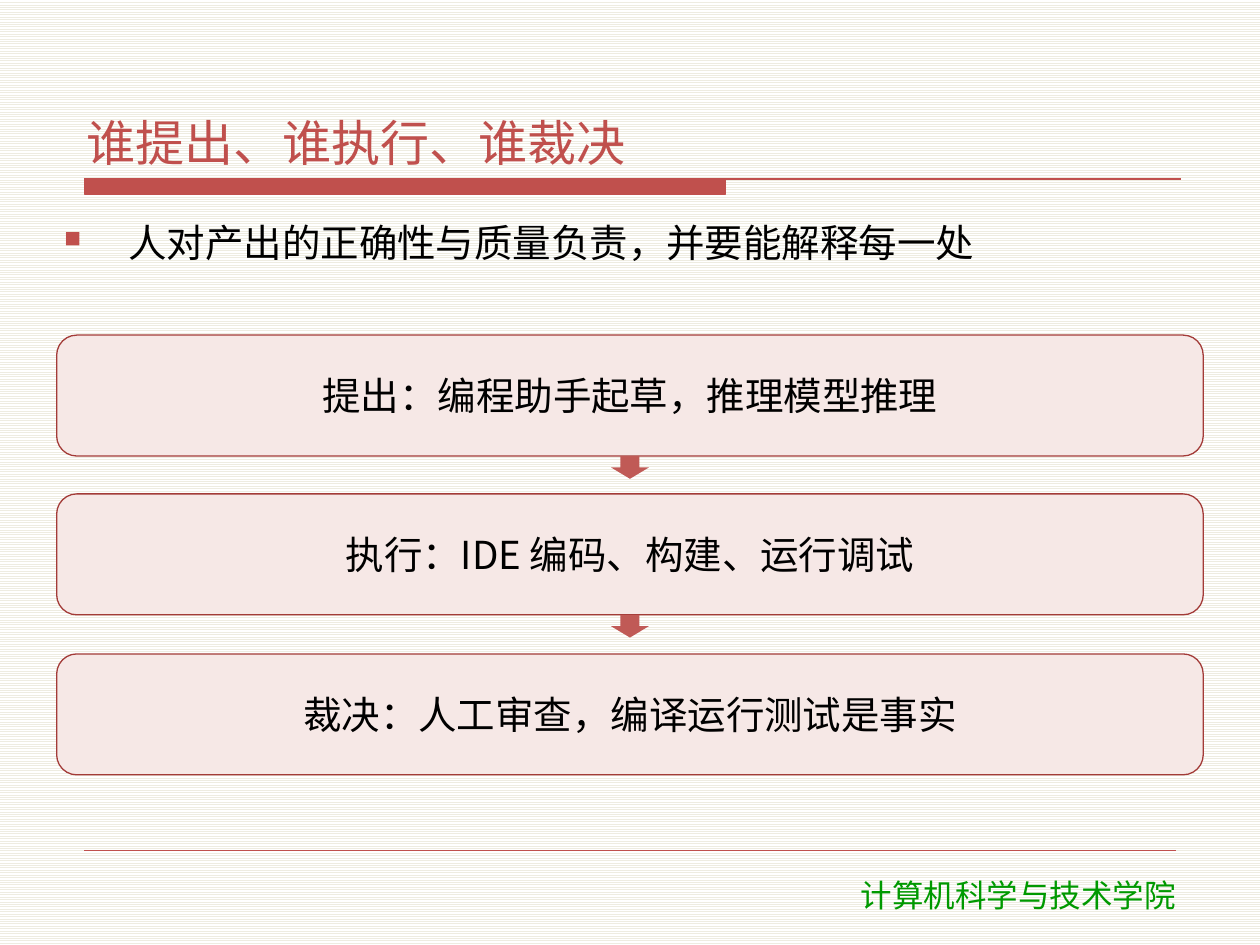
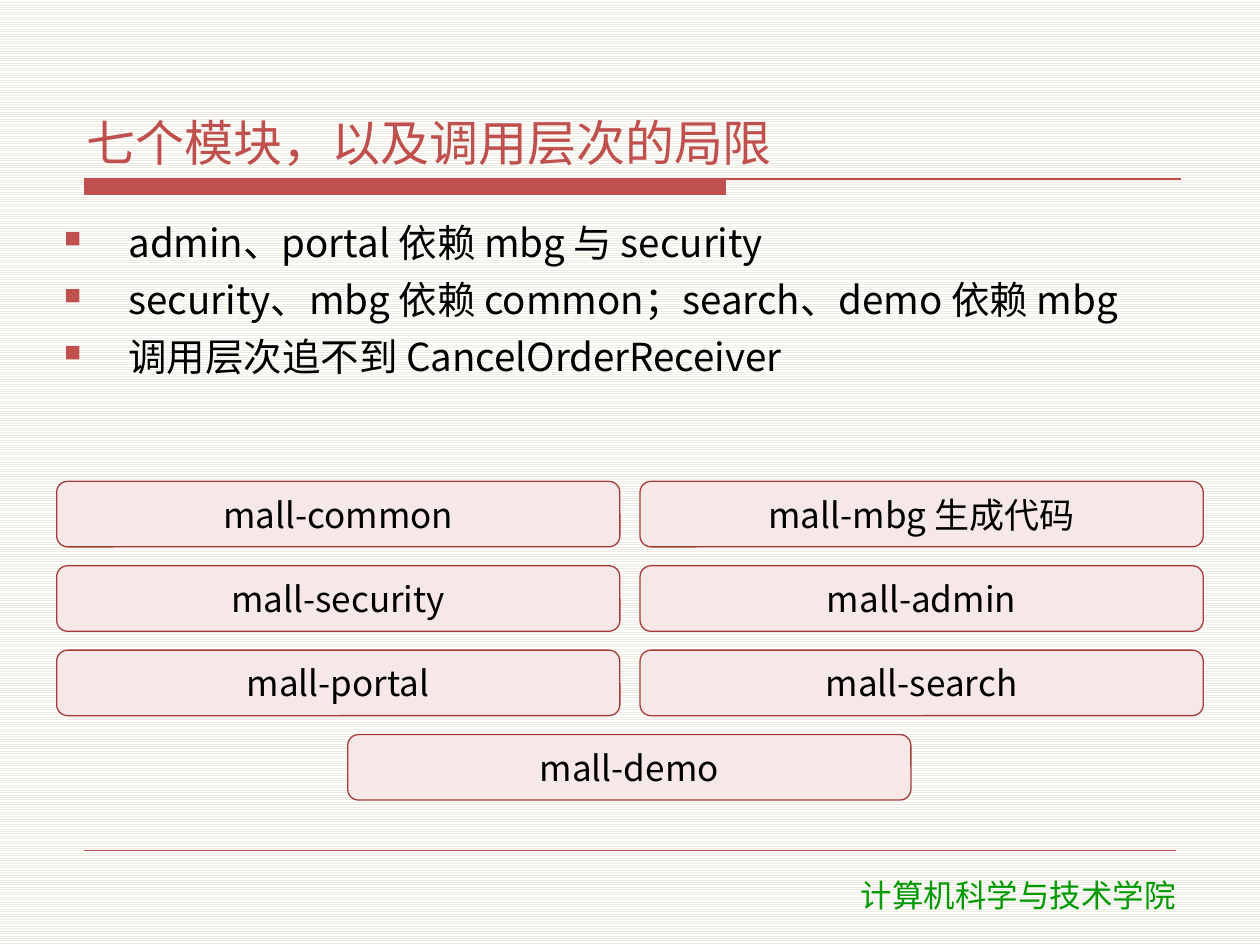
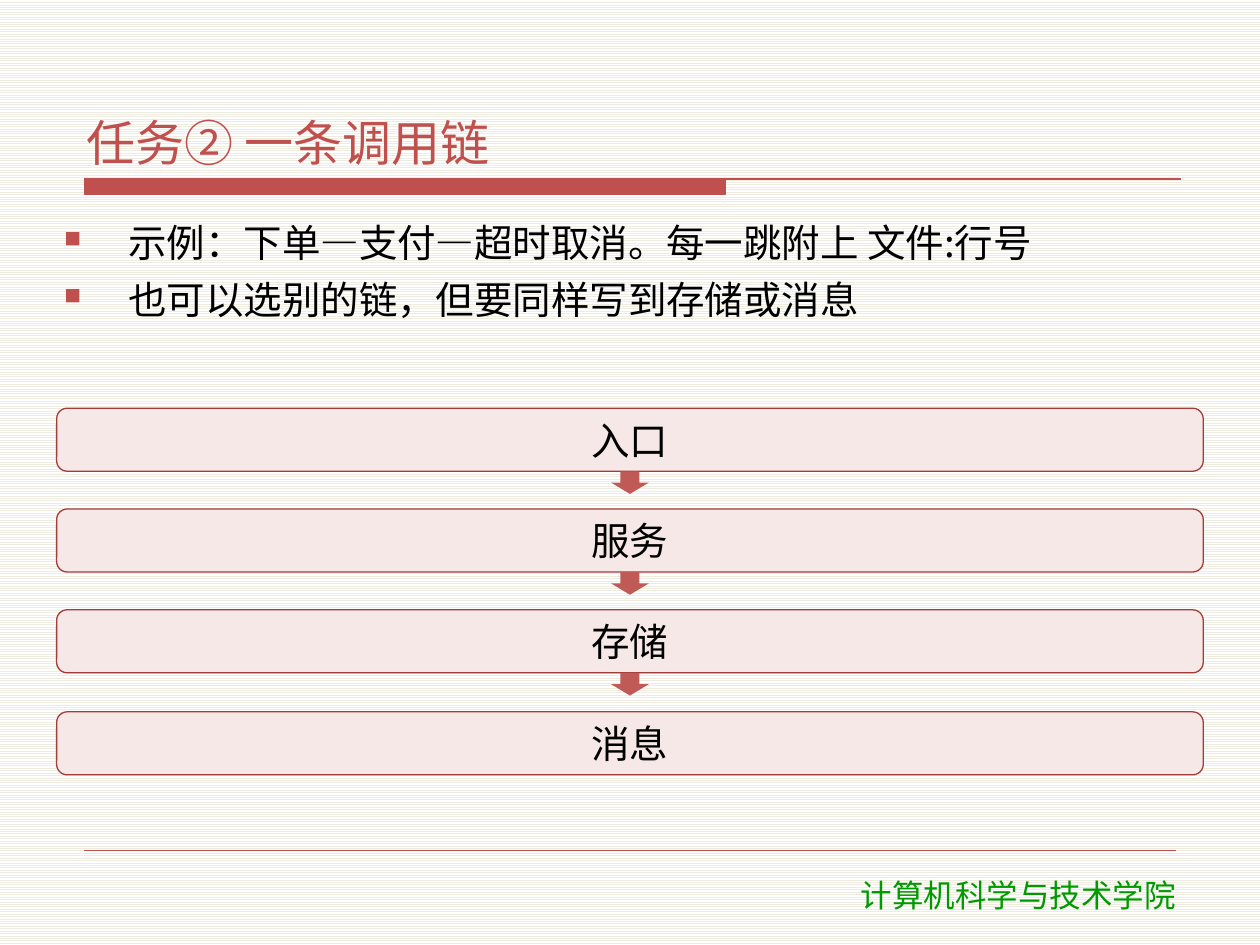
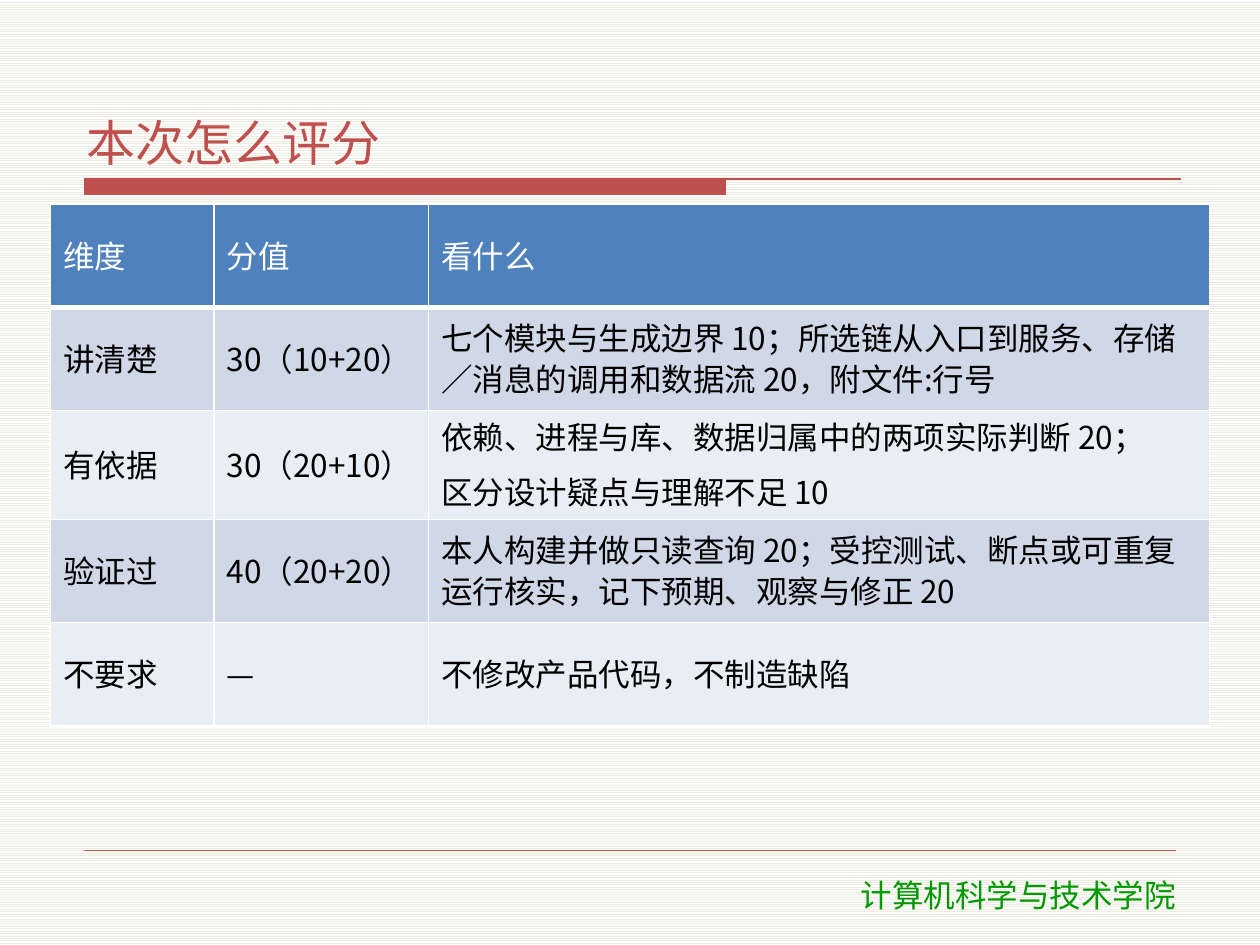
from dataclasses import dataclass

from lxml import etree
from pptx import Presentation
from pptx import util as u
from pptx.dml.color import RGBColor
from pptx.enum import dml, shapes, text
from pptx.oxml.ns import qn

# Shared style
RED = RGBColor(0xC0, 0x50, 0x4D)
ARROW_RED = RGBColor(0xC0, 0x5A, 0x56)
EDGE_RED = RGBColor(0xA3, 0x3B, 0x38)
PINK = RGBColor(0xF6, 0xE8, 0xE6)
GREEN = RGBColor(0x00, 0x99, 0x00)
BLACK = RGBColor(0x00, 0x00, 0x00)
WHITE = RGBColor(0xFF, 0xFF, 0xFF)
STRIPE = RGBColor(0xEE, 0xEC, 0xE1)
HEAD_BLUE = RGBColor(0x4F, 0x81, 0xBD)
ROW_BLUES = (RGBColor(0xE9, 0xED, 0xF4), RGBColor(0xD0, 0xD8, 0xE8))
FONT = "Noto Sans CJK SC"
FOOTER_FONT = "DejaVu Sans"

PX = 9144  # EMU per px, 100 px to the inch
SLIDE_W, SLIDE_H = 1000, 750
LEFT, WIDTH = 45, 910
BODY_TOP = 172
FLOW_BOTTOM, FLOW_GAP = 615, 30
ARROW_W, ARROW_H = 30, 18


@dataclass(frozen=True)
class Box:
    x: int
    y: int
    w: int
    h: int

    def emu(self) -> tuple[int, ...]:
        return tuple(v * PX for v in (self.x, self.y, self.w, self.h))


@dataclass(frozen=True)
class Page:
    title: str
    bullets: tuple[str, ...]
    body_h: int
    labels: tuple[str, ...]
    top: int  # where the boxes begin


ROLES = Page(
    "谁提出、谁执行、谁裁决",
    ("人对产出的正确性与质量负责，并要能解释每一处",),
    86,
    ("提出：编程助手起草，推理模型推理",
     "执行：IDE 编码、构建、运行调试",
     "裁决：人工审查，编译运行测试是事实"),
    266,
)
MODULES = Page(
    "七个模块，以及调用层次的局限",
    ("admin、portal 依赖 mbg 与 security",
     "security、mbg 依赖 common；search、demo 依赖 mbg",
     "调用层次追不到 CancelOrderReceiver"),
    202,
    ("mall-common", "mall-mbg 生成代码", "mall-security", "mall-admin",
     "mall-portal", "mall-search", "mall-demo"),
    382,
)
CHAIN = Page(
    "任务② 一条调用链",
    ("示例：下单—支付—超时取消。每一跳附上 文件:行号",
     "也可以选别的链，但要同样写到存储或消息"),
    144,
    ("入口", "服务", "存储", "消息"),
    324,
)
SCORE_TITLE = "本次怎么评分"
SCORE_COLS = (130, 170, 620)
SCORE_ROW_H = 82
SCORES = (
    ("维度", "分值", "看什么"),
    ("讲清楚", "30（10+20）",
     "七个模块与生成边界 10；所选链从入口到服务、存储／消息的调用和数据流 20，附文件:行号"),
    ("有依据", "30（20+10）",
     "依赖、进程与库、数据归属中的两项实际判断 20；\n区分设计疑点与理解不足 10"),
    ("验证过", "40（20+20）",
     "本人构建并做只读查询 20；受控测试、断点或可重复运行核实，记下预期、观察与修正 20"),
    ("不要求", "—", "不修改产品代码，不制造缺陷"),
)


# Text
def add_bullet(p) -> None:
    pPr = p._p.get_or_add_pPr()
    pPr.set("marL", str(51 * PX))
    pPr.set("indent", str(-51 * PX))
    clr = etree.SubElement(pPr, qn("a:buClr"))
    etree.SubElement(clr, qn("a:srgbClr")).set("val", str(RED))
    etree.SubElement(pPr, qn("a:buSzPct")).set("val", "60000")
    etree.SubElement(pPr, qn("a:buChar")).set("char", "■")


def write(tf, lines, *, size, color=BLACK, font=FONT, align=text.PP_ALIGN.LEFT,
          before=0, after=2, spacing=None, bullet=False) -> None:
    for i, line in enumerate(lines):
        p = tf.add_paragraph() if i else tf.paragraphs[0]
        if bullet:
            add_bullet(p)
        p.alignment = align
        p.space_before = u.Pt(before if i else 0)
        p.space_after = u.Pt(after)
        if spacing:
            p.line_spacing = spacing
        r = p.add_run()
        r.text = line
        r.font.size = u.Pt(size)
        r.font.bold = False
        r.font.name = font
        r.font.color.rgb = color
        ea = etree.SubElement(r._r.get_or_add_rPr(), qn("a:ea"))
        ea.set("typeface", font)


def set_frame(tf, anchor) -> None:
    tf.word_wrap = True
    tf.auto_size = text.MSO_AUTO_SIZE.NONE
    tf.vertical_anchor = anchor
    tf.margin_left = tf.margin_right = 6 * PX
    tf.margin_top = tf.margin_bottom = 2 * PX


# Parts
def add_title(slide, title: str) -> None:
    sp = slide.shapes.title
    sp.left, sp.top, sp.width, sp.height = Box(63, 33, 875, 105).emu()
    set_frame(sp.text_frame, text.MSO_ANCHOR.BOTTOM)
    write(sp.text_frame, [title], size=28, color=RED)


def add_bullets(slide, page: Page) -> None:
    sp = slide.shapes.add_textbox(*Box(LEFT, BODY_TOP, WIDTH, page.body_h).emu())
    set_frame(sp.text_frame, text.MSO_ANCHOR.TOP)
    write(sp.text_frame, page.bullets, size=22, before=4, bullet=True)


def add_card(slide, box: Box, label: str, size: int) -> None:
    sp = slide.shapes.add_shape(shapes.MSO_SHAPE.ROUNDED_RECTANGLE, *box.emu())
    sp.shadow.inherit = False
    sp.fill.solid()
    sp.fill.fore_color.rgb = PINK
    sp.line.color.rgb = EDGE_RED
    sp.line.width = u.Pt(0.75)
    set_frame(sp.text_frame, text.MSO_ANCHOR.MIDDLE)
    write(sp.text_frame, [label], size=size, align=text.PP_ALIGN.CENTER)


def add_arrow(slide, y: int) -> None:
    box = Box((SLIDE_W - ARROW_W) // 2, y, ARROW_W, ARROW_H)
    sp = slide.shapes.add_shape(shapes.MSO_SHAPE.DOWN_ARROW, *box.emu())
    sp.shadow.inherit = False
    sp.fill.solid()
    sp.fill.fore_color.rgb = ARROW_RED
    sp.line.fill.background()


def add_flow(slide, page: Page) -> None:
    n = len(page.labels)
    pitch = (FLOW_BOTTOM + FLOW_GAP - page.top) / n
    h = round(pitch - FLOW_GAP)
    for i, label in enumerate(page.labels):
        y = round(page.top + i * pitch)
        add_card(slide, Box(LEFT, y, WIDTH, h), label, 22)
        if i < n - 1:
            add_arrow(slide, y + h)


def add_grid(slide, page: Page) -> None:
    w, h, gap_x, gap_y = 447, 52, 16, 15
    for i in range(0, len(page.labels), 2):
        row = page.labels[i:i + 2]
        x = (SLIDE_W - len(row) * (w + gap_x) + gap_x) // 2
        y = page.top + i // 2 * (h + gap_y)
        for j, label in enumerate(row):
            add_card(slide, Box(x + j * (w + gap_x), y, w, h), label, 20)


def set_borders(cell, widths: dict[str, int]) -> None:
    tcPr = cell._tc.get_or_add_tcPr()
    for i, (side, width) in enumerate(widths.items()):
        ln = etree.Element(qn(f"a:ln{side}"))
        ln.set("w", str(u.Pt(width)))
        fill = etree.SubElement(ln, qn("a:solidFill"))
        etree.SubElement(fill, qn("a:srgbClr")).set("val", str(WHITE))
        tcPr.insert(i, ln)


def add_scores(slide) -> None:
    box = Box(40, 162, sum(SCORE_COLS), SCORE_ROW_H * len(SCORES))
    table = slide.shapes.add_table(len(SCORES), len(SCORE_COLS), *box.emu()).table
    for col, w in zip(table.columns, SCORE_COLS):
        col.width = w * PX
    for i, row in enumerate(SCORES):
        table.rows[i].height = SCORE_ROW_H * PX
        for j, value in enumerate(row):
            cell = table.cell(i, j)
            cell.vertical_anchor = text.MSO_ANCHOR.MIDDLE
            cell.fill.solid()
            cell.fill.fore_color.rgb = ROW_BLUES[i % 2] if i else HEAD_BLUE
            write(cell.text_frame, value.split("\n"), size=18, before=6,
                  spacing=0.9, color=BLACK if i else WHITE)
            if i == 0:
                set_borders(cell, {"L": 1, "R": 1, "T": 1, "B": 3})


# Band, rule and footer, drawn once and handed to the layout
def add_frame(slide, layout) -> None:
    fb = slide.shapes.build_freeform(67, 142, scale=PX)
    fb.add_line_segments([(576, 142), (576, 154), (67, 154)], close=True)
    fb.move_to(67, 142)
    fb.add_line_segments([(937, 142)], close=False)
    band = fb.convert_to_shape()
    band.shadow.inherit = False
    band.fill.solid()
    band.fill.fore_color.rgb = RED
    band.line.color.rgb = RED
    band.line.width = u.Pt(0.75)

    rule = slide.shapes.add_connector(
        shapes.MSO_CONNECTOR.STRAIGHT, 67 * PX, 675 * PX, 933 * PX, 675 * PX)
    rule.line.color.rgb = RED
    rule.line.width = u.Pt(0.25)
    etree.SubElement(rule.element.spPr, qn("a:effectLst"))

    footer = slide.shapes.add_textbox(*Box(607, 690, 402, 40).emu())
    footer.text_frame.word_wrap = True
    footer.text_frame.auto_size = text.MSO_AUTO_SIZE.SHAPE_TO_FIT_TEXT
    write(footer.text_frame, ["计算机科学与技术学院"], size=18, color=GREEN,
          font=FOOTER_FONT, align=text.PP_ALIGN.CENTER, after=0)

    for i, sp in enumerate((band, rule, footer)):
        sp.element.xpath(".//p:cNvPr")[0].set("id", str(101 + i))
        layout.shapes.element.append(sp.element)


def main() -> None:
    prs = Presentation()
    prs.slide_width, prs.slide_height = SLIDE_W * PX, SLIDE_H * PX
    fill = prs.slide_master.background.fill
    fill.patterned()
    fill.pattern = dml.MSO_PATTERN.LIGHT_HORIZONTAL
    fill.fore_color.rgb = STRIPE
    fill.back_color.rgb = WHITE

    layout = prs.slide_layouts.get_by_name("Title Only")
    for page, draw in ((ROLES, add_flow), (MODULES, add_grid), (CHAIN, add_flow)):
        slide = prs.slides.add_slide(layout)
        if page is ROLES:
            add_frame(slide, layout)
        add_title(slide, page.title)
        add_bullets(slide, page)
        draw(slide, page)

    slide = prs.slides.add_slide(layout)
    add_title(slide, SCORE_TITLE)
    add_scores(slide)
    prs.save("out.pptx")


if __name__ == "__main__":
    main()
